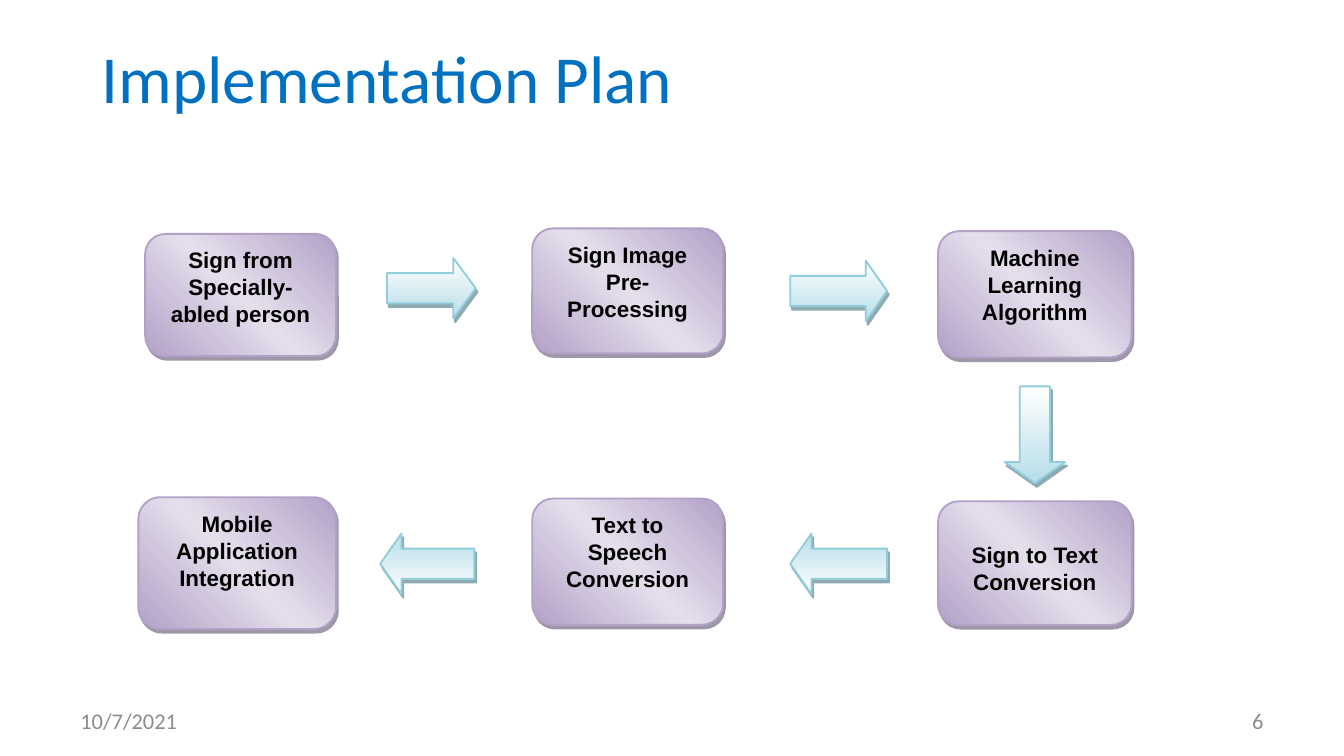
from dataclasses import dataclass

from lxml import etree
from pptx import Presentation
from pptx import util as u
from pptx.dml.color import RGBColor
from pptx.enum import shapes, text
from pptx.oxml import parse_xml

NS = "http://schemas.openxmlformats.org/drawingml/2006/main"
SLIDE_W = 10
SLIDE_H = SLIDE_W * 9 / 16
COL2, COL3 = 3.96, 6.98
ARROW_H = 0.45


@dataclass(frozen=True)
class Style:
    stops: tuple[tuple[int, str], ...]
    angle: int
    line: str
    shadow: str


@dataclass(frozen=True)
class Step:
    label: str
    x: float
    y: float
    w: float
    h: float
    top_inset: float = 0.05


@dataclass(frozen=True)
class Arrow:
    x: float
    y: float
    w: float
    head: float = 0.35
    flipped: bool = False
    rotation: int = 0


STEP_STYLE = Style(((0, "B2A1C7"), (50, "E5DFEC"), (100, "B2A1C7")), 315, "B2A1C7", "3F3151")
ARROW_STYLE = Style(((0, "FFFFFF"), (100, "B6DDE8")), 90, "92CDDC", "205867")

STEPS = [
    Step("Sign from Specially-abled person", 1.08, 1.74, 1.42, 0.91),
    Step("Sign Image Pre- Processing", COL2, 1.7, 1.42, 0.93),
    Step("Machine Learning Algorithm", COL3, 1.72, 1.44, 0.94),
    Step("Sign to Text Conversion", COL3, 3.73, 1.44, 0.92, top_inset=0.25),
    Step("Text to Speech Conversion", COL2, 3.71, 1.42, 0.94),
    Step("Mobile Application Integration", 1.03, 3.7, 1.47, 0.98),
]
ARROWS = [
    Arrow(2.88, 1.92, 0.66, head=0.37),
    Arrow(5.88, 1.94, 0.72),
    Arrow(7.34, 3.01, 0.72, rotation=90),
    Arrow(5.88, 3.97, 0.72, flipped=True),
    Arrow(2.83, 3.97, 0.7, flipped=True),
]


def color(value: str) -> RGBColor:
    return RGBColor.from_string(value)


def write(sp, content: str, *, size: int, font: str, fill: str, bold: bool = False,
          align=text.PP_ALIGN.CENTER, anchor=text.MSO_ANCHOR.TOP) -> None:
    tf = sp.text_frame
    tf.word_wrap = True
    tf.auto_size = text.MSO_AUTO_SIZE.NONE
    tf.vertical_anchor = anchor
    p = tf.paragraphs[0]
    p.alignment = align
    r = p.add_run()
    r.text = content
    r.font.size = u.Pt(size)
    r.font.name = font
    r.font.bold = bold
    r.font.color.rgb = color(fill)


def apply_style(sp, style: Style) -> None:
    """Give the shape an upright gradient, a thin outline and a hard shadow."""
    sp.line.color.rgb = color(style.line)
    sp.line.width = u.Pt(1)
    stops = "".join(f'<a:gs pos="{pos * 1000}"><a:srgbClr val="{c}"/></a:gs>'
                    for pos, c in style.stops)
    gradient = parse_xml(
        f'<a:gradFill xmlns:a="{NS}" rotWithShape="0"><a:gsLst>{stops}</a:gsLst>'
        f'<a:lin ang="{style.angle * 60000}" scaled="1"/></a:gradFill>')
    spPr = sp._element.spPr
    spPr.find(f"{{{NS}}}prstGeom").addnext(gradient)
    sp.shadow.inherit = False
    shadow = etree.SubElement(spPr.find(f"{{{NS}}}effectLst"), f"{{{NS}}}outerShdw",
                              dist=str(u.Pt(2.2)), dir=str(63 * 60000),
                              algn="ctr", rotWithShape="0")
    clr = etree.SubElement(shadow, f"{{{NS}}}srgbClr", val=style.shadow)
    etree.SubElement(clr, f"{{{NS}}}alpha", val="50000")


def place(sp, x: float, y: float, w: float, h: float) -> None:
    sp.left, sp.top, sp.width, sp.height = map(u.Inches, (x, y, w, h))


def draw_step(s, step: Step) -> None:
    sp = s.shapes.add_shape(shapes.MSO_SHAPE.ROUNDED_RECTANGLE,
                            *map(u.Inches, (step.x, step.y, step.w, step.h)))
    apply_style(sp, STEP_STYLE)
    write(sp, step.label, size=12, font="Arial", fill="000000", bold=True)
    sp.text_frame.margin_top = u.Inches(step.top_inset)


def draw_arrow(s, arrow: Arrow) -> None:
    sp = s.shapes.add_shape(shapes.MSO_SHAPE.RIGHT_ARROW,
                            *map(u.Inches, (arrow.x, arrow.y, arrow.w, ARROW_H)))
    sp.adjustments[1] = arrow.head
    sp.rotation = arrow.rotation
    if arrow.flipped:
        xfrm = sp._element.spPr.xfrm
        xfrm.set("flipH", "1")
        xfrm.set("flipV", "1")
    apply_style(sp, ARROW_STYLE)


def draw_footer(s, content: str, x: float, align) -> None:
    sp = s.shapes.add_textbox(*map(u.Inches, (x, 5.21, 2.33, 0.3)))
    write(sp, content, size=12, font="Calibri", fill="8C8C8C",
          align=align, anchor=text.MSO_ANCHOR.MIDDLE)


def main() -> None:
    prs = Presentation()
    prs.slide_width, prs.slide_height = u.Inches(SLIDE_W), u.Inches(SLIDE_H)
    s = prs.slides.add_slide(prs.slide_layouts[5])
    title = s.shapes.title
    place(title, 0.18, 0.22, 5.4, 1)
    write(title, "Implementation Plan", size=36, font="Calibri", fill="0070C0")
    for step in STEPS:
        draw_step(s, step)
    for arrow in ARROWS:
        draw_arrow(s, arrow)
    draw_footer(s, "10/7/2021", 0.5, text.PP_ALIGN.LEFT)
    draw_footer(s, "6", 7.17, text.PP_ALIGN.RIGHT)
    prs.save("out.pptx")


if __name__ == "__main__":
    main()
